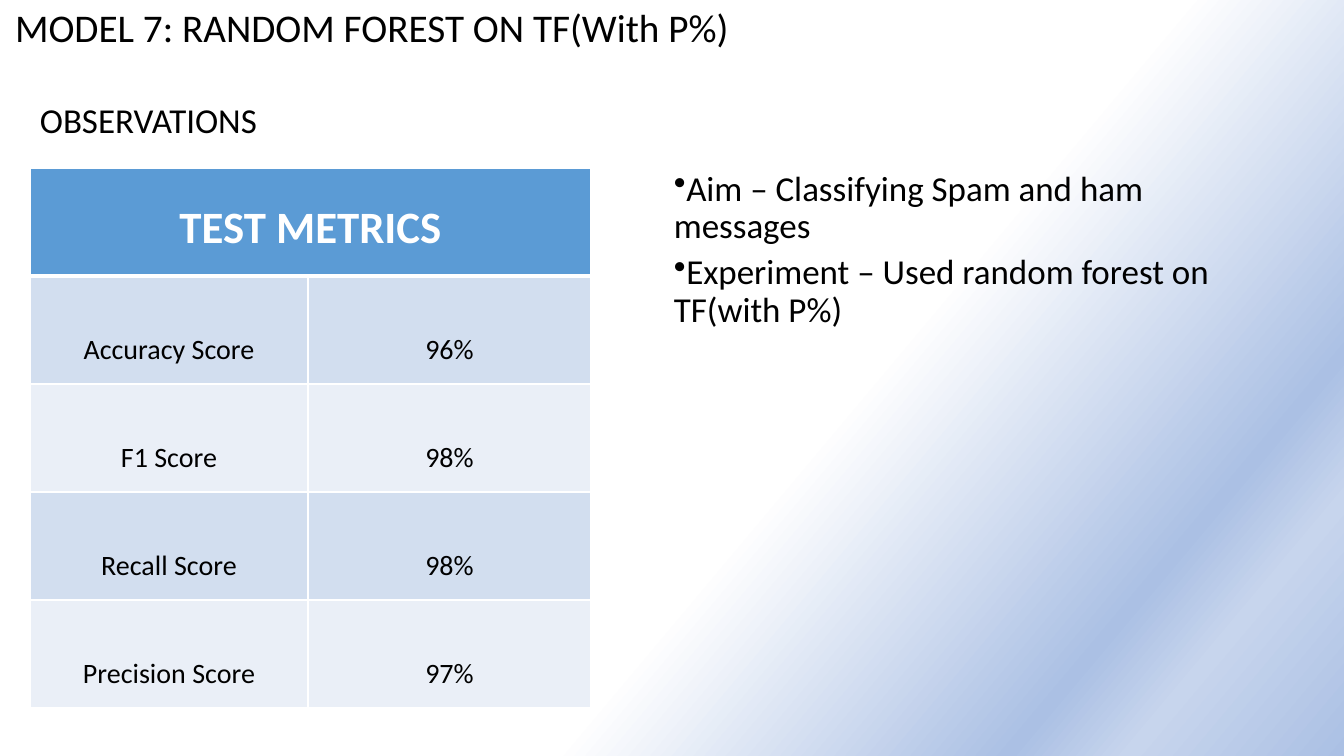
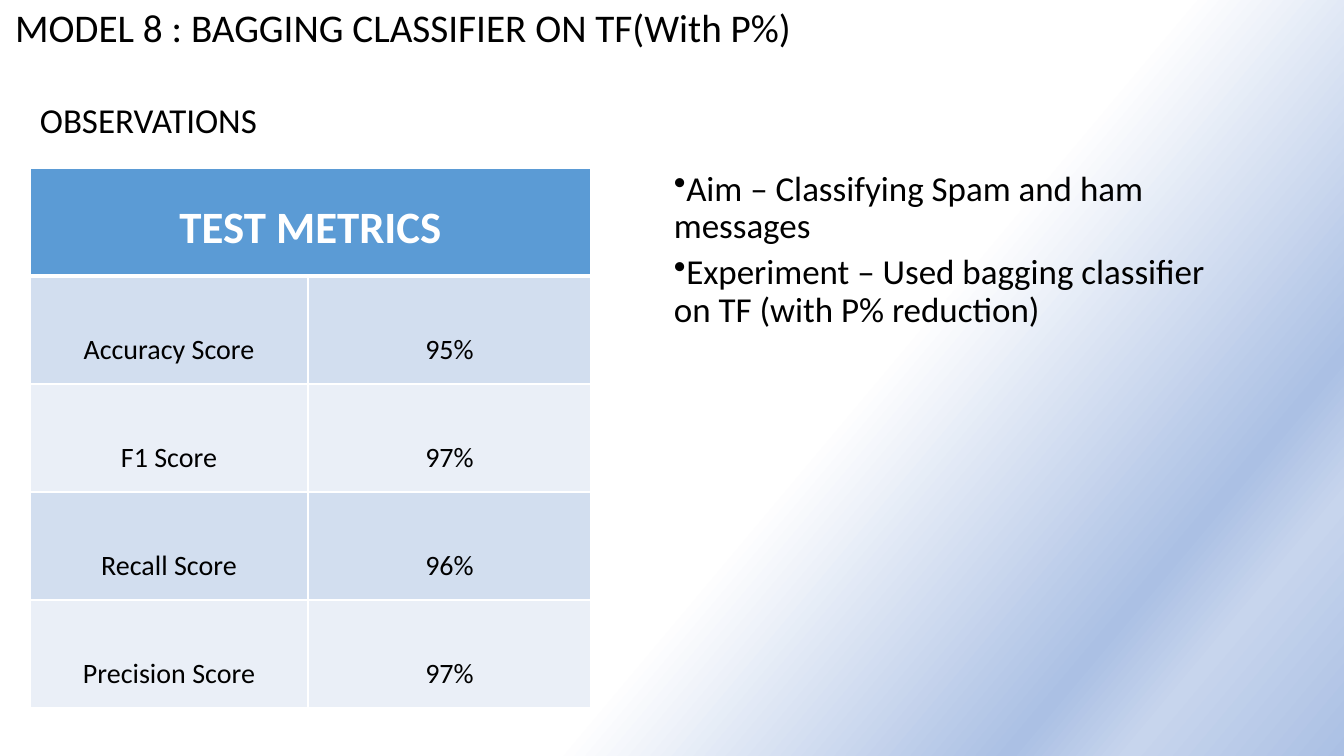
from dataclasses import dataclass

from lxml.etree import SubElement
from pptx import Presentation
from pptx.dml.color import RGBColor
from pptx.enum.text import MSO_ANCHOR, MSO_AUTO_SIZE, PP_ALIGN
from pptx.oxml.ns import qn
from pptx.util import Emu, Pt

TOP, MIDDLE = MSO_ANCHOR.TOP, MSO_ANCHOR.MIDDLE
LEFT, CENTER = PP_ALIGN.LEFT, PP_ALIGN.CENTER
NO_FIT = MSO_AUTO_SIZE.NONE

AIM = "Aim – Classifying Spam and ham messages"
LABEL = "OBSERVATIONS"
HEADER = "TEST METRICS"
METRICS = ["Accuracy Score", "F1 Score", "Recall Score", "Precision Score"]
MODELS = [
    {
        "title": "MODEL 7: RANDOM FOREST ON TF(With P%)",
        "scores": ["96%", "98%", "98%", "97%"],
        "notes": [AIM, "Experiment – Used random forest on TF(with P%)"],
    },
    {
        "title": "MODEL 8 : BAGGING CLASSIFIER ON TF(With P%)",
        "scores": ["95%", "97%", "96%", "97%"],
        "notes": [AIM, "Experiment – Used bagging classifier on TF (with P% reduction)"],
    },
]


@dataclass(frozen=True)
class Theme:
    font: str = "Calibri"
    ink: str = "000000"
    white: str = "FFFFFF"
    head: str = "5B9BD5"
    bands: tuple = ("D2DEEF", "EAEFF7")
    stops: tuple = ((60, "FFFFFF"), (83, "ABC0E4"), (89, "C7D5ED"), (100, "ABC0E4"))
    angle: int = 40
    title: int = 28
    body: int = 25
    header: int = 32
    cell: int = 20
    thin: int = 1
    thick: int = 3


THEME = Theme()

# Left, top, width, height in px
SLIDE = (1344, 756)
TITLE = (5, 4, 1336, 749)
OBSERVE = (30, 84, 282, 77)
NOTES = (664, 90, 574, 321)
GRID = (30, 168)
COLS = (278, 283)
ROW = 108
INDENT = -25


def px(n):
    return Emu(round(n * 914400 / 100.8))


def box(area):
    return [px(n) for n in area]


def style(para, size, color=THEME.ink, bold=False, align=LEFT, lines=0.9, after=0):
    para.alignment = align
    para.line_spacing = lines
    para.space_before = Pt(0)
    para.space_after = Pt(after)
    for run in para.runs:
        font = run.font
        font.name, font.size, font.bold = THEME.font, Pt(size), bold
        font.color.rgb = RGBColor.from_string(color)


def paint(master):
    """Give every slide the diagonal gradient through the master."""
    fill = master.background.fill
    fill.gradient()
    fill.gradient_angle = 360 - THEME.angle
    stops = master.element.find(".//" + qn("a:gsLst"))
    for old in list(stops):
        stops.remove(old)
    for place, color in THEME.stops:
        stop = SubElement(stops, qn("a:gs"), pos=str(place * 1000))
        SubElement(stop, qn("a:srgbClr"), val=color)


def add_title(slide, text):
    title = slide.shapes.title
    title.left, title.top, title.width, title.height = box(TITLE)
    frame = title.text_frame
    frame.text = text
    frame.auto_size = NO_FIT
    frame.vertical_anchor = TOP
    style(frame.paragraphs[0], THEME.title)


def add_text(slide, area, lines, bullet=False):
    frame = slide.shapes.add_textbox(*box(area)).text_frame
    frame.word_wrap = True
    frame.vertical_anchor = MIDDLE
    frame.text = "\n".join(lines)
    for para in frame.paragraphs:
        if bullet:
            props = para._p.get_or_add_pPr()
            props.set("marL", "0")
            props.set("indent", str(px(INDENT)))
            SubElement(props, qn("a:buChar"), char="•")
        style(para, THEME.body, after=6)


def edge(cell, top, base):
    """Draw the white cell borders; top and base are widths in points."""
    props = cell._tc.get_or_add_tcPr()
    sides = {"L": THEME.thin, "R": THEME.thin, "T": top, "B": base}
    for place, (side, width) in enumerate(sides.items()):
        line = SubElement(props, qn("a:ln" + side), w=str(Pt(width)))
        fill = SubElement(line, qn("a:solidFill"))
        SubElement(fill, qn("a:srgbClr"), val=THEME.white)
        props.insert(place, line)


def add_grid(slide, scores):
    rows = [(HEADER, ""), *zip(METRICS, scores)]
    size = (sum(COLS), ROW * len(rows))
    table = slide.shapes.add_table(len(rows), len(COLS), *box(GRID + size)).table
    table.horz_banding = False
    for col, width in zip(table.columns, COLS):
        col.width = px(width)
    for i, row in enumerate(rows):
        table.rows[i].height = px(ROW)
        head = i == 0
        color = THEME.head if head else THEME.bands[(i - 1) % 2]
        for j, text in enumerate(row):
            cell = table.cell(i, j)
            cell.text = text
            cell.fill.solid()
            cell.fill.fore_color.rgb = RGBColor.from_string(color)
            edge(cell, THEME.thick if i == 1 else THEME.thin,
                 THEME.thick if head else THEME.thin)
            para = cell.text_frame.paragraphs[0]
            if head:
                style(para, THEME.header, THEME.white, True, CENTER, 1.5)
            else:
                style(para, THEME.cell, align=CENTER, lines=2.5)
    table.cell(0, 0).merge(table.cell(0, len(COLS) - 1))


def main():
    deck = Presentation()
    deck.slide_width, deck.slide_height = box(SLIDE)
    paint(deck.slide_master)
    for model in MODELS:
        slide = deck.slides.add_slide(deck.slide_layouts[5])
        add_title(slide, model["title"])
        add_grid(slide, model["scores"])
        add_text(slide, NOTES, model["notes"], bullet=True)
        add_text(slide, OBSERVE, [LABEL])
    deck.save("out.pptx")


if __name__ == "__main__":
    main()
